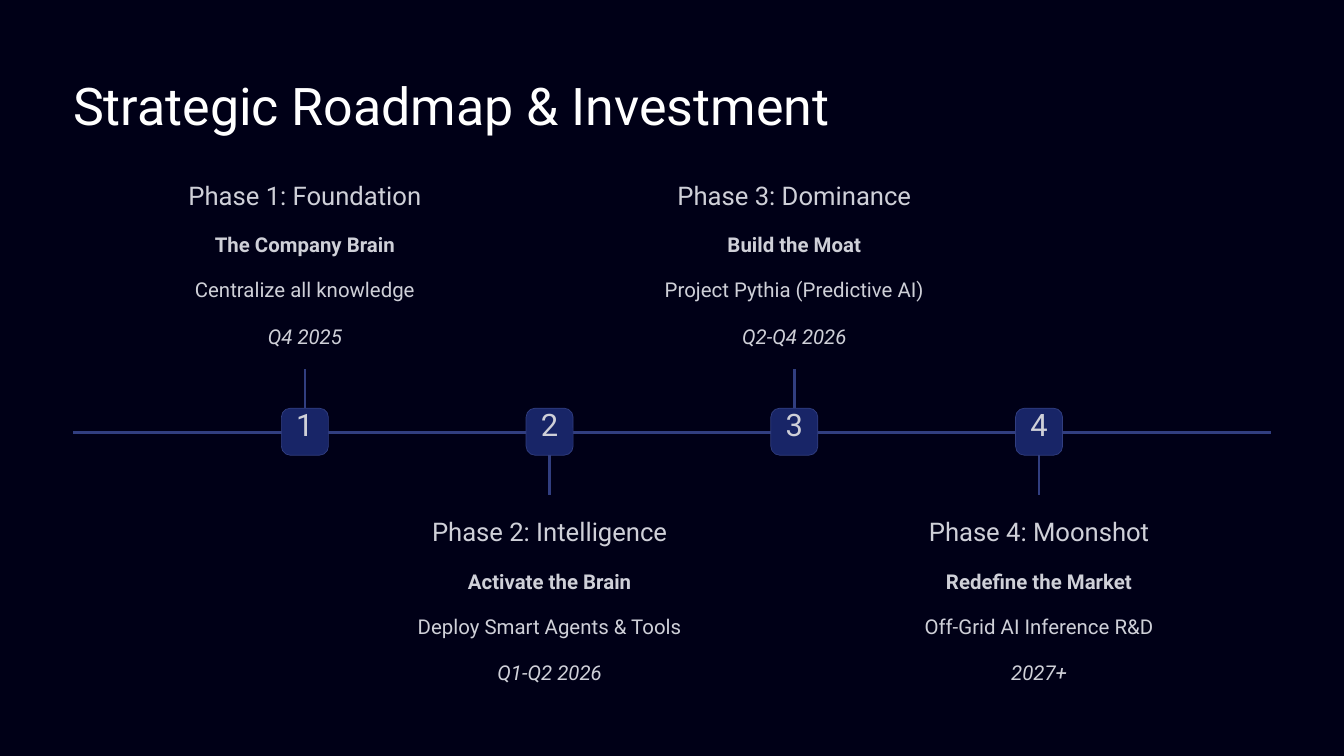
"""Build the strategic roadmap slide: a timeline with four alternating phases."""
from lxml.etree import SubElement
from pptx import Presentation
from pptx.dml.color import RGBColor
from pptx.enum.shapes import MSO_CONNECTOR as CONN, MSO_SHAPE as SHAPE
from pptx.enum.text import MSO_ANCHOR as ANCHOR, PP_ALIGN as ALIGN
from pptx.oxml.ns import qn
from pptx.util import Inches, Pt

BACK, WHITE, TEXT, LINE, NODE = "000017", "FFFFFF", "CFD0D8", "313E80", "182567"
AXIS_Y, NODE_TOP, NODE_SIZE, STEM = 5.15, 4.86, 0.56, 0.47
FIRST_X, LAST_X = 3.63, 12.37

PHASES = [
    ("Phase 1: Foundation", "The Company Brain", "Centralize all knowledge", "Q4 2025"),
    ("Phase 2: Intelligence", "Activate the Brain", "Deploy Smart Agents & Tools", "Q1-Q2 2026"),
    ("Phase 3: Dominance", "Build the Moat", "Project Pythia (Predictive AI)", "Q2-Q4 2026"),
    ("Phase 4: Moonshot", "Redefine the Market", "Off-Grid AI Inference R&D", "2027+"),
]
ROWS = [
    (0, 3.1, 0.39, 27.5, {"size": Pt(22)}),
    (0.54, 5.02, 0.4, 28.5, {"size": Pt(17.5), "bold": True}),
    (1.08, 5.02, 0.4, 28.5, {"size": Pt(17.5)}),
    (1.63, 5.02, 0.4, 28.5, {"size": Pt(17.5), "italic": True}),
]


def rgb(value):
    return RGBColor.from_string(value)


def write(sp, text, spacing, fmt, color=TEXT, align=ALIGN.CENTER, top=0):
    tf = sp.text_frame
    frame = {"word_wrap": False, "vertical_anchor": ANCHOR.TOP, "margin_left": 0,
             "margin_right": 0, "margin_top": Inches(top), "margin_bottom": 0}
    for name, value in frame.items():
        setattr(tf, name, value)
    p = tf.paragraphs[0]
    p.alignment, p.line_spacing = align, Pt(spacing)
    r = p.add_run()
    r.text = text
    for name, value in {"name": "Roboto", **fmt}.items():
        setattr(r.font, name, value)
    r.font.color.rgb = rgb(color)


prs = Presentation()
prs.slide_width, prs.slide_height = Inches(16), Inches(9)
s = prs.slides.add_slide(prs.slide_layouts[6])
s.background.fill.solid()
s.background.fill.fore_color.rgb = rgb(BACK)

title = s.shapes.add_textbox(Inches(0.87), Inches(0.85), Inches(9.11), Inches(0.78))
write(title, "Strategic Roadmap & Investment", 55.5, {"size": Pt(44.5)}, WHITE, ALIGN.LEFT)

axis = s.shapes.add_connector(
    CONN.STRAIGHT, Inches(0.87), Inches(AXIS_Y), Inches(15.13), Inches(AXIS_Y))
lines = [axis]

step = (LAST_X - FIRST_X) / (len(PHASES) - 1)
for i, phase in enumerate(PHASES):
    x = FIRST_X + i * step
    above = i % 2 == 0

    node = s.shapes.add_shape(SHAPE.ROUNDED_RECTANGLE, Inches(x - NODE_SIZE / 2),
                              Inches(NODE_TOP), Inches(NODE_SIZE), Inches(NODE_SIZE))
    node.adjustments[0] = 0.19
    node.shadow.inherit = False
    node.fill.solid()
    node.fill.fore_color.rgb = rgb(NODE)
    node.line.color.rgb = rgb(LINE)
    node.line.width = Pt(0.6)
    write(node, str(i + 1), 26.5, {"size": Pt(26.5)}, top=0.01)

    end_y = NODE_TOP - STEM if above else NODE_TOP + NODE_SIZE + STEM
    stem = s.shapes.add_connector(
        CONN.STRAIGHT, Inches(x), Inches(NODE_TOP), Inches(x), Inches(end_y))
    stem.begin_connect(node, 0 if above else 2)
    lines.append(stem)

    top = 2.12 if above else 6.13
    for text, (dy, width, height, spacing, fmt) in zip(phase, ROWS):
        box = s.shapes.add_textbox(
            Inches(x - width / 2), Inches(top + dy), Inches(width), Inches(height))
        write(box, text, spacing, fmt)

for line in lines:
    line.line.color.rgb = rgb(LINE)
    line.line.width = Pt(2.25)
    SubElement(line._element.spPr, qn("a:effectLst"))

prs.save("out.pptx")
